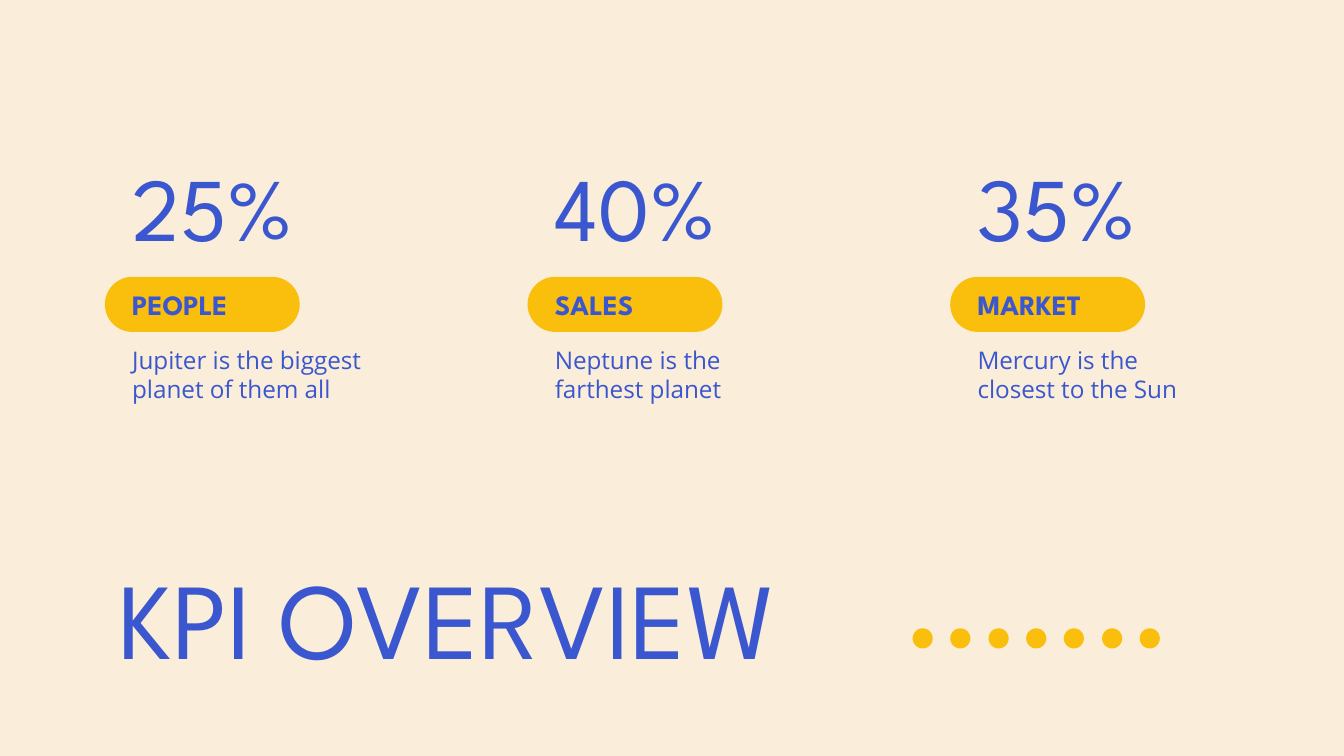
from dataclasses import dataclass

from pptx import Presentation
from pptx.dml.color import RGBColor
from pptx.enum.shapes import MSO_SHAPE as Shape
from pptx.enum.text import MSO_ANCHOR as Anchor, MSO_AUTO_SIZE as AutoSize, PP_ALIGN as Align
from pptx.util import Emu, Pt

EMU_PER_PX = 4572  # 200 px to the inch
COLORS = {"cream": "FAEDD9", "yellow": "FABE0C", "blue": "3B57CF"}
HEADING, BODY = "League Spartan", "Open Sans"


@dataclass(frozen=True)
class Box:
    left: int
    top: int
    width: int
    height: int

    def emu(self) -> list[Emu]:
        return [px(n) for n in (self.left, self.top, self.width, self.height)]


@dataclass(frozen=True)
class Style:
    font: str
    size: int
    anchor: Anchor
    bold: bool = False


@dataclass(frozen=True)
class Kpi:
    value: str
    name: str
    note: str


TITLE = Style(HEADING, 58, Anchor.BOTTOM)
VALUE = Style(HEADING, 48, Anchor.MIDDLE)
NAME = Style(HEADING, 15, Anchor.MIDDLE, bold=True)
NOTE = Style(BODY, 13, Anchor.TOP)

KPIS = [
    Kpi("25%", "PEOPLE", "Jupiter is the biggest planet of them all"),
    Kpi("40%", "SALES", "Neptune is the farthest planet"),
    Kpi("35%", "MARKET", "Mercury is the closest to the Sun"),
]
KPI_LEFT, KPI_PITCH = 156, 629
DOT_LEFT, DOT_SPAN, DOT_COUNT = 1358, 338, 7


def px(length: int) -> Emu:
    return Emu(length * EMU_PER_PX)


def color(name: str) -> RGBColor:
    return RGBColor.from_string(COLORS[name])


def write(shape, text: str, style: Style) -> None:
    frame = shape.text_frame
    frame.word_wrap = True
    frame.auto_size = AutoSize.NONE
    frame.vertical_anchor = style.anchor
    frame.margin_left = frame.margin_right = px(20)
    frame.margin_top = frame.margin_bottom = px(20)
    para = frame.paragraphs[0]
    para.alignment = Align.LEFT
    para.line_spacing = 1.0
    span = para.add_run()
    span.text = text
    span.font.name = style.font
    span.font.size = Pt(style.size)
    span.font.bold = style.bold
    span.font.color.rgb = color("blue")


def add_text(page, box: Box, text: str, style: Style) -> None:
    write(page.shapes.add_textbox(*box.emu()), text, style)


def add_yellow(page, kind: Shape, box: Box):
    shape = page.shapes.add_shape(kind, *box.emu())
    shape.shadow.inherit = False
    shape.fill.solid()
    shape.fill.fore_color.rgb = color("yellow")
    shape.line.fill.background()
    return shape


def add_kpi(page, kpi: Kpi, left: int) -> None:
    pill = add_yellow(page, Shape.ROUNDED_RECTANGLE, Box(left, 412, 290, 82))
    pill.adjustments[0] = 0.5
    text_left = left + 21
    add_text(page, Box(text_left, 200, 430, 212), kpi.value, VALUE)
    add_text(page, Box(text_left, 412, 382, 82), kpi.name, NAME)
    add_text(page, Box(text_left, 494, 383, 104), kpi.note, NOTE)


def main() -> None:
    deck = Presentation()
    deck.slide_width, deck.slide_height = px(2000), px(1125)
    page = deck.slides.add_slide(deck.slide_layouts[5])
    page.background.fill.solid()
    page.background.fill.fore_color.rgb = color("cream")

    # Title
    title = page.shapes.title
    title.left, title.top, title.width, title.height = Box(156, 821, 1280, 212).emu()
    write(title, "KPI OVERVIEW", TITLE)

    # Three figures, evenly spaced
    for i, kpi in enumerate(KPIS):
        add_kpi(page, kpi, KPI_LEFT + i * KPI_PITCH)

    # Row of dots
    for i in range(DOT_COUNT):
        left = DOT_LEFT + round(i * DOT_SPAN / (DOT_COUNT - 1))
        add_yellow(page, Shape.OVAL, Box(left, 935, 30, 30))

    deck.save("out.pptx")


if __name__ == "__main__":
    main()
